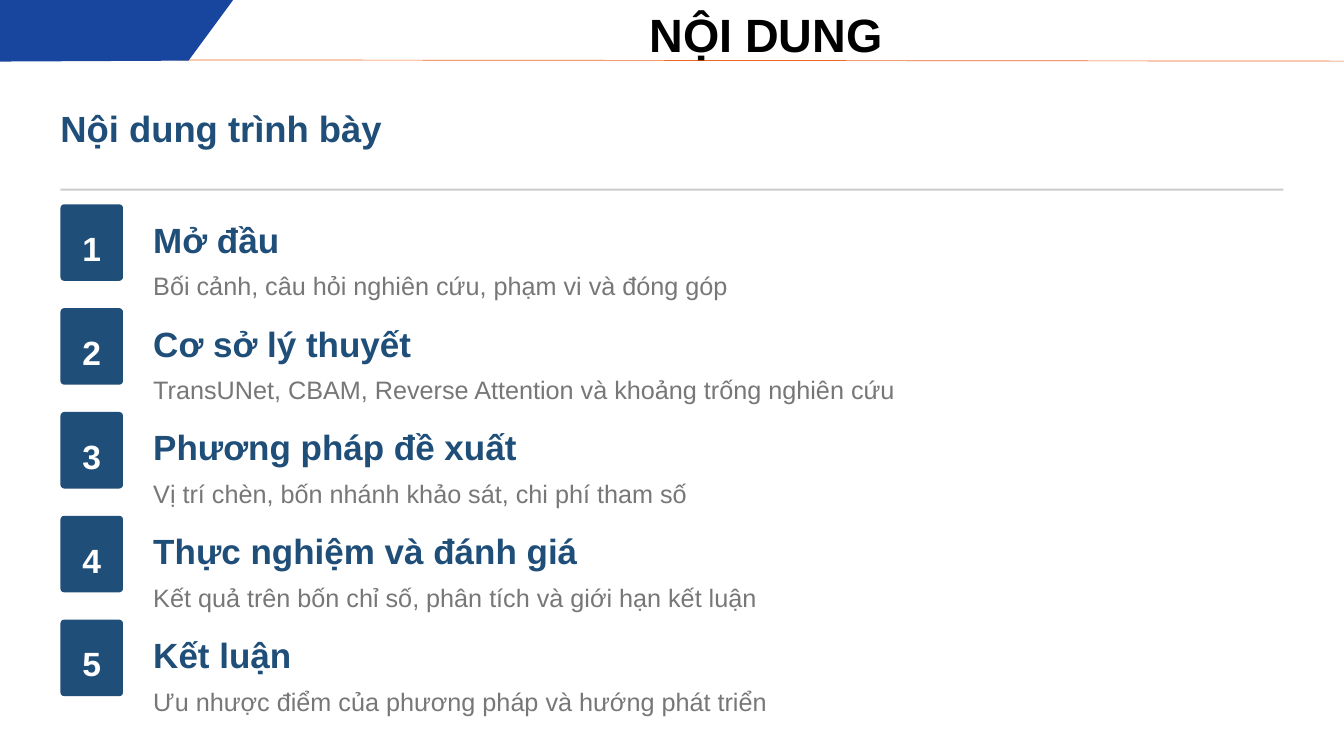
from lxml.etree import SubElement
from pptx import Presentation
from pptx.dml.color import RGBColor
from pptx.enum.shapes import MSO_CONNECTOR, MSO_SHAPE
from pptx.enum.text import MSO_ANCHOR, MSO_AUTO_SIZE, PP_ALIGN
from pptx.oxml.ns import qn
from pptx.util import Pt

BLACK = RGBColor(0x00, 0x00, 0x00)
WHITE = RGBColor(0xFF, 0xFF, 0xFF)
NAVY = RGBColor(0x1F, 0x4E, 0x79)
ROYAL = RGBColor(0x18, 0x45, 0x9E)
ORANGE = RGBColor(0xEF, 0x68, 0x22)
GREY = RGBColor(0x77, 0x77, 0x77)
RULE = RGBColor(0xCC, 0xCC, 0xCC)

TITLE = "NỘI DUNG"
HEADING = "Nội dung trình bày"
SECTIONS = [
    ("Mở đầu", "Bối cảnh, câu hỏi nghiên cứu, phạm vi và đóng góp"),
    ("Cơ sở lý thuyết", "TransUNet, CBAM, Reverse Attention và khoảng trống nghiên cứu"),
    ("Phương pháp đề xuất", "Vị trí chèn, bốn nhánh khảo sát, chi phí tham số"),
    ("Thực nghiệm và đánh giá", "Kết quả trên bốn chỉ số, phân tích và giới hạn kết luận"),
    ("Kết luận", "Ưu nhược điểm của phương pháp và hướng phát triển"),
]
BANNER = [(-2, -3), (252, -3), (201.6, 64.8), (-2, 65.5)]

MARGIN, CONTENT_W = 64.8, 1310.4
FIRST_ROW, ROW_PITCH = 218.9, 111.25
BADGE_W, BADGE_H = 67, 82
TEXT_X, TEXT_W, TEXT_H = 164.2, 1202.4, 86.4


def box(left, top, width, height):
    return [Pt(v) for v in (left, top, width, height)]


def put_text(sp, *lines, align=PP_ALIGN.LEFT, anchor=MSO_ANCHOR.TOP,
             spacing=1.28, after=0, grow=False):
    """Write each (text, size, colour, bold) line as a paragraph of sp."""
    tf = sp.text_frame
    tf.word_wrap = True
    tf.auto_size = MSO_AUTO_SIZE.SHAPE_TO_FIT_TEXT if grow else MSO_AUTO_SIZE.NONE
    tf.vertical_anchor = anchor
    tf.margin_left = tf.margin_top = tf.margin_right = tf.margin_bottom = 0
    for i, (text, size, color, bold) in enumerate(lines):
        p = tf.add_paragraph() if i else tf.paragraphs[0]
        p.alignment, p.line_spacing = align, spacing
        p.space_before, p.space_after = Pt(0), Pt(after)
        r = p.add_run()
        r.text = text
        r.font.name, r.font.size, r.font.bold = "Arial", Pt(size), bold
        r.font.color.rgb = color


def paint(sp, color):
    sp.shadow.inherit = False
    sp.fill.solid()
    sp.fill.fore_color.rgb = color
    sp.line.fill.background()


def add_header(s):
    line = s.shapes.add_connector(MSO_CONNECTOR.STRAIGHT, Pt(103), Pt(64.1), Pt(1445.8), Pt(65.5))
    line.line.color.rgb = ORANGE
    line.line.width = Pt(0.75)
    SubElement(line._element.spPr, qn("a:effectLst"))

    builder = s.shapes.build_freeform(*BANNER[0], scale=Pt(1))
    builder.add_line_segments(BANNER[1:], close=True)
    paint(builder.convert_to_shape(), ROYAL)

    title = s.shapes.title
    title.left, title.top, title.width, title.height = box(409, -1.4, 823.7, 80.6)
    put_text(title, (TITLE, 50, BLACK, True), align=PP_ALIGN.CENTER,
             anchor=MSO_ANCHOR.MIDDLE, spacing=Pt(54))
    s.shapes._spTree.append(title._element)  # in front of the header line


def add_section(s, number, top, name, detail):
    badge = s.shapes.add_shape(MSO_SHAPE.ROUNDED_RECTANGLE, *box(MARGIN, top, BADGE_W, BADGE_H))
    badge.adjustments[0] = 0.06
    paint(badge, NAVY)
    put_text(badge, (str(number), 36, WHITE, True), align=PP_ALIGN.CENTER,
             anchor=MSO_ANCHOR.MIDDLE)
    label = s.shapes.add_textbox(*box(TEXT_X, top + 2.3, TEXT_W, TEXT_H))
    put_text(label, (name, 37.5, NAVY, True), (detail, 27, GREY, False), after=2, grow=True)


def main():
    prs = Presentation()
    prs.slide_width, prs.slide_height = Pt(1440), Pt(810)
    s = prs.slides.add_slide(prs.slide_layouts[5])
    add_header(s)

    heading = s.shapes.add_textbox(*box(MARGIN, 107.3, CONTENT_W, 90.7))
    put_text(heading, (HEADING, 39, NAVY, True), spacing=1.14, grow=True)
    rule = s.shapes.add_shape(MSO_SHAPE.RECTANGLE, *box(MARGIN, 202.2, CONTENT_W, 2))
    paint(rule, RULE)

    for i, (name, detail) in enumerate(SECTIONS):
        add_section(s, i + 1, FIRST_ROW + i * ROW_PITCH, name, detail)
    prs.save("out.pptx")


if __name__ == "__main__":
    main()
